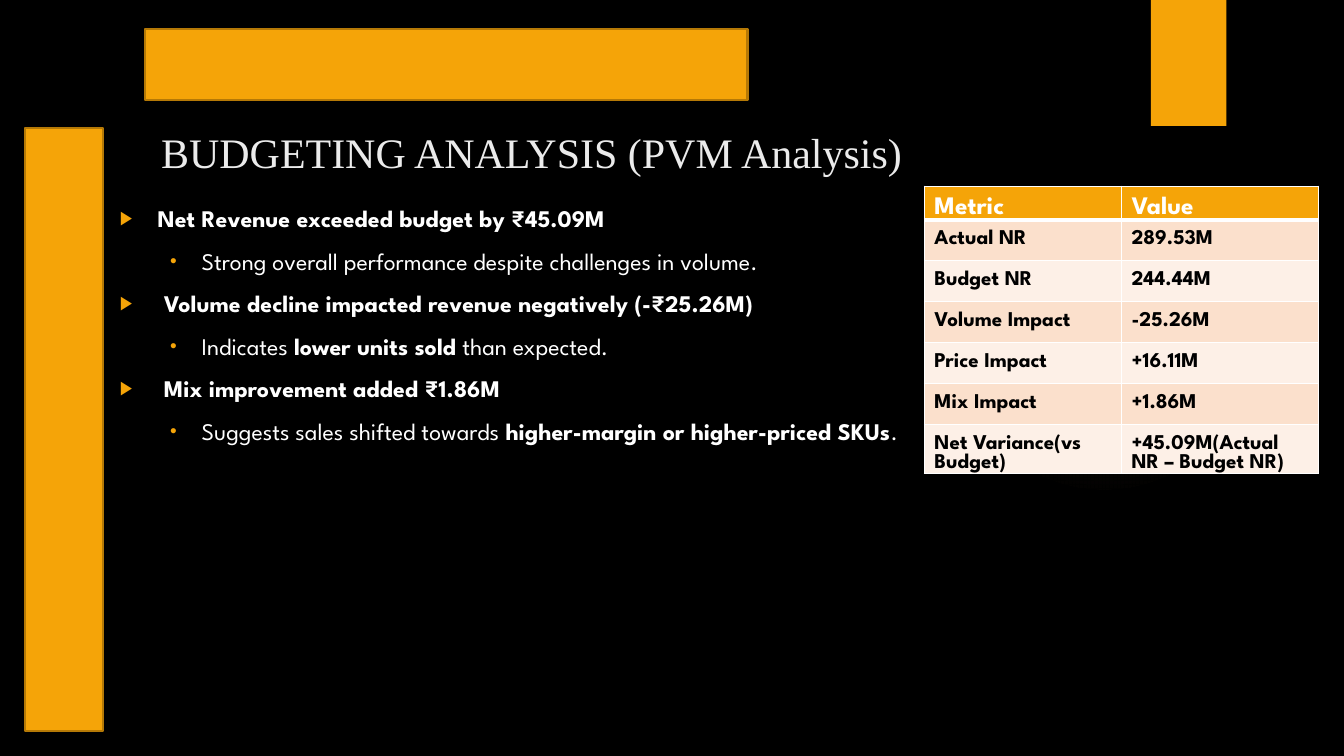
"""Build the budgeting analysis slide with its summary points and variance table."""
from dataclasses import dataclass

from lxml.etree import SubElement
from pptx import Presentation
from pptx.dml.color import RGBColor
from pptx.enum.shapes import MSO_SHAPE
from pptx.enum.text import MSO_ANCHOR
from pptx.oxml import parse_xml
from pptx.oxml.ns import nsdecls, qn
from pptx.shapes.autoshape import Shape
from pptx.slide import Slide
from pptx.table import _Cell
from pptx.text.text import TextFrame, _Paragraph
from pptx.util import Pt


@dataclass(frozen=True)
class Theme:
    """Colours, fonts and type sizes of the slide."""
    background: str = "000000"
    accent: str = "F5A408"
    accent_edge: str = "B57906"
    glow: str = "FAC96A"
    title_color: str = "EBEBEB"
    light: str = "FFFFFF"
    dark: str = "000000"
    bands: tuple[str, str] = ("FBE0CC", "FDF0E7")
    title_font: str = "Times New Roman"
    body_font: str = "League Spartan"
    title_size: float = 30
    header_size: float = 18
    body_size: float = 17
    cell_size: float = 15


@dataclass(frozen=True)
class Box:
    """A rectangle in points."""
    left: float
    top: float
    width: float
    height: float

    def lengths(self) -> tuple[Pt, Pt, Pt, Pt]:
        """Return left, top, width and height as lengths."""
        return Pt(self.left), Pt(self.top), Pt(self.width), Pt(self.height)


@dataclass(frozen=True)
class Bar:
    """An accent bar, outlined or plain."""
    box: Box
    outlined: bool = True


@dataclass(frozen=True)
class Span:
    """A piece of text in one weight."""
    text: str
    bold: bool = False


@dataclass(frozen=True)
class Level:
    """Bullet character and indents of one outline level."""
    bullet: str
    margin: float
    hanging: float


@dataclass(frozen=True)
class Point:
    """A bulleted line."""
    level: Level
    spans: tuple[Span, ...]


THEME = Theme()
MAIN = Level("▶", 27, 27)
DETAIL = Level("•", 58.5, 22.5)

BARS = (
    Bar(Box(822, 0, 54, 90), outlined=False),
    Bar(Box(18, 91.5, 55.5, 430.5)),
    Bar(Box(103.5, 20.5, 430.5, 51.3)),
)
POINTS = (
    Point(MAIN, (Span("Net Revenue exceeded budget by ₹45.09M", True),)),
    Point(DETAIL, (Span("Strong overall performance despite challenges in volume."),)),
    Point(MAIN, (Span(" Volume decline impacted revenue negatively (-₹25.26M)", True),)),
    Point(DETAIL, (Span("Indicates "), Span("lower units sold", True), Span(" than expected."))),
    Point(MAIN, (Span(" Mix improvement added ₹1.86M", True),)),
    Point(DETAIL, (Span("Suggests sales shifted towards "),
                   Span("higher-margin or higher-priced SKUs", True), Span("."))),
)
METRICS = (
    ("Metric", "Value"),
    ("Actual NR", "289.53M"),
    ("Budget NR", "244.44M"),
    ("Volume Impact", "-25.26M"),
    ("Price Impact", "+16.11M"),
    ("Mix Impact", "+1.86M"),
    ("Net Variance(vs Budget)", "+45.09M(Actual NR – Budget NR)"),
)


def add_run(paragraph: _Paragraph, span: Span, font: str, size: float, color: str) -> None:
    """Append one styled run."""
    run = paragraph.add_run()
    run.text = span.text
    run.font.name = font
    run.font.size = Pt(size)
    run.font.bold = span.bold
    run.font.color.rgb = RGBColor.from_string(color)


def add_accent_shape(slide: Slide, kind: MSO_SHAPE, box: Box) -> Shape:
    """Add a flat accent shape without outline."""
    shape = slide.shapes.add_shape(kind, *box.lengths())
    shape.shadow.inherit = False
    shape.fill.solid()
    shape.fill.fore_color.rgb = RGBColor.from_string(THEME.accent)
    shape.line.fill.background()
    return shape


def add_bar(slide: Slide, bar: Bar) -> None:
    """Add an accent bar."""
    shape = add_accent_shape(slide, MSO_SHAPE.RECTANGLE, bar.box)
    if bar.outlined:
        shape.line.color.rgb = RGBColor.from_string(THEME.accent_edge)
        shape.line.width = Pt(1.5)


def add_glow(slide: Slide, box: Box) -> None:
    """Add a faint circular glow that fades outwards."""
    shape = add_accent_shape(slide, MSO_SHAPE.OVAL, box)
    stops = "".join(
        f'<a:gs pos="{place * 1000}"><a:srgbClr val="{THEME.glow}">'
        f'<a:alpha val="{alpha * 1000}"/></a:srgbClr></a:gs>'
        for place, alpha in ((0, 7), (36, 6), (69, 0))
    )
    gradient = parse_xml(
        f'<a:gradFill {nsdecls("a")}><a:gsLst>{stops}</a:gsLst><a:path path="circle">'
        '<a:fillToRect l="50000" t="50000" r="50000" b="50000"/></a:path></a:gradFill>'
    )
    properties = shape.element.spPr
    properties.replace(properties.find(qn("a:solidFill")), gradient)


def add_text_frame(slide: Slide, box: Box, anchor: MSO_ANCHOR) -> TextFrame:
    """Add a wrapping text box and return its frame."""
    frame = slide.shapes.add_textbox(*box.lengths()).text_frame
    frame.word_wrap = True
    frame.vertical_anchor = anchor
    return frame


def set_bullet(paragraph: _Paragraph, level: Level) -> None:
    """Give a paragraph the bullet and indents of its level."""
    properties = paragraph._p.get_or_add_pPr()
    properties.set("marL", str(Pt(level.margin)))
    properties.set("indent", str(-Pt(level.hanging)))
    color = SubElement(properties, qn("a:buClr"))
    SubElement(color, qn("a:srgbClr"), val=THEME.accent)
    SubElement(properties, qn("a:buSzPct"), val="80000")
    SubElement(properties, qn("a:buFont"), typeface="Arial")
    SubElement(properties, qn("a:buChar"), char=level.bullet)


def add_points(slide: Slide, box: Box) -> None:
    """Add the bulleted summary."""
    frame = add_text_frame(slide, box, MSO_ANCHOR.TOP)
    for index, point in enumerate(POINTS):
        paragraph = frame.add_paragraph() if index else frame.paragraphs[0]
        paragraph.space_before = Pt(10)
        set_bullet(paragraph, point.level)
        for span in point.spans:
            add_run(paragraph, span, THEME.body_font, THEME.body_size, THEME.light)


def style_cell(cell: _Cell, fill: str, bottom_width: float) -> None:
    """Set the fill, margins and white borders of a cell."""
    cell.margin_top, cell.margin_bottom = Pt(7.4), Pt(0)
    cell.fill.solid()
    cell.fill.fore_color.rgb = RGBColor.from_string(fill)
    properties = cell._tc.get_or_add_tcPr()
    for index, (side, width) in enumerate((("L", 1), ("R", 1), ("T", 1), ("B", bottom_width))):
        properties.insert(index, parse_xml(
            f'<a:ln{side} {nsdecls("a")} w="{Pt(width)}"><a:solidFill>'
            f'<a:srgbClr val="{THEME.light}"/></a:solidFill></a:ln{side}>'
        ))


def add_metrics(slide: Slide, box: Box) -> None:
    """Add the variance table."""
    table = slide.shapes.add_table(len(METRICS), len(METRICS[0]), *box.lengths()).table
    for row_index, values in enumerate(METRICS):
        header = row_index == 0
        table.rows[row_index].height = Pt(24 if header else 29.2)
        fill = THEME.accent if header else THEME.bands[(row_index - 1) % 2]
        size = THEME.header_size if header else THEME.cell_size
        color = THEME.light if header else THEME.dark
        for column_index, value in enumerate(values):
            cell = table.cell(row_index, column_index)
            style_cell(cell, fill, 3 if header else 1)
            paragraph = cell.text_frame.paragraphs[0]
            paragraph.line_spacing = Pt(round(size * 0.92, 1))
            add_run(paragraph, Span(value, True), THEME.body_font, size, color)


def main() -> None:
    """Create and save the presentation."""
    presentation = Presentation()
    presentation.slide_width, presentation.slide_height = Pt(960), Pt(540)
    slide = presentation.slides.add_slide(presentation.slide_layouts[6])
    slide.background.fill.solid()
    slide.background.fill.fore_color.rgb = RGBColor.from_string(THEME.background)
    add_glow(slide, Box(677.5, 132, 222, 222))
    for bar in BARS:
        add_bar(slide, bar)
    title = add_text_frame(slide, Box(108, 85.5, 741, 46), MSO_ANCHOR.MIDDLE)
    add_run(title.paragraphs[0], Span("BUDGETING ANALYSIS (PVM Analysis)"),
            THEME.title_font, THEME.title_size, THEME.title_color)
    add_points(slide, Box(78.5, 142, 600, 380))
    add_metrics(slide, Box(660.3, 133, 281.5, 199.2))
    presentation.save("out.pptx")


if __name__ == "__main__":
    main()
